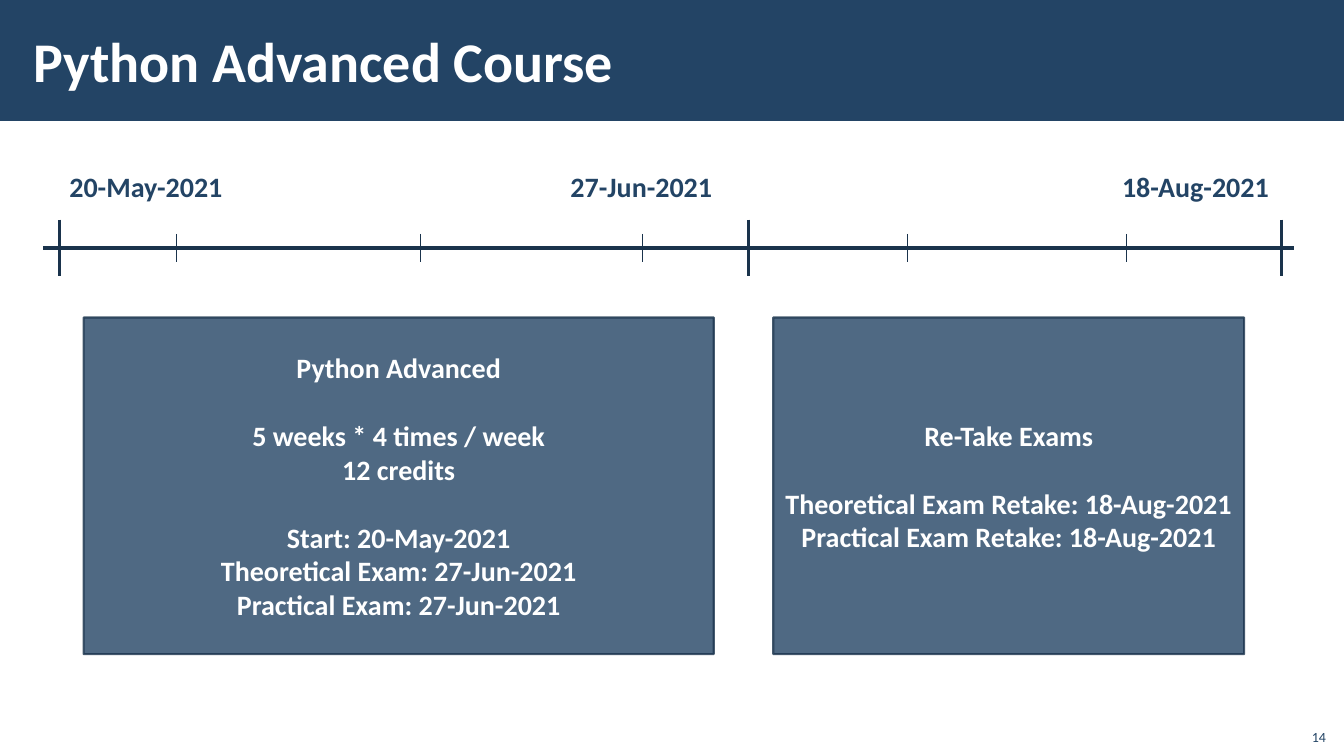
from lxml.etree import SubElement
from pptx import Presentation
from pptx.dml.color import RGBColor
from pptx.enum.shapes import MSO_CONNECTOR, MSO_SHAPE
from pptx.enum.text import MSO_ANCHOR, PP_ALIGN
from pptx.oxml.ns import qn
from pptx.util import Inches, Pt

TITLE = "Python Advanced Course"
PAGE = "14"
DATES = [("20-May-2021", 0.59, 1.74), ("27-Jun-2021", 5.56, 1.62), ("18-Aug-2021", 11.03, 1.68)]
MAJOR_TICKS = [0.59, 7.42, 12.71]
MINOR_TICKS = [1.75, 4.17, 6.37, 9, 11.17]
PHASES = [
    (0.83, 6.25, [
        ["Python Advanced"],
        ["5 weeks * 4 times / week", "12 credits"],
        ["Start: 20-May-2021", "Theoretical Exam: 27-Jun-2021", "Practical Exam: 27-Jun-2021"],
    ]),
    (7.67, 4.67, [
        ["Re-Take Exams"],
        ["Theoretical Exam Retake: 18-Aug-2021", "Practical Exam Retake: 18-Aug-2021"],
    ]),
]
COLORS = {"navy": "234465", "line": "1A334C", "white": "FFFFFF"}
FONT = "Calibri"
WIDTH, HEIGHT = 13.33, 7.5
AXIS_Y, AXIS_LEFT, AXIS_RIGHT = 2.46, 0.43, 12.83
DATE_TOP, DATE_HEIGHT = 1.63, 0.44
PHASE_TOP, PHASE_HEIGHT = 3.15, 3.34
LINE_PITCH = 24.4


def rgb(name):
    return RGBColor.from_string(COLORS[name])


def style(p, size, color, bold=True, align=PP_ALIGN.LEFT):
    p.alignment = align
    for r in p.runs:
        r.font.name, r.font.size, r.font.bold = FONT, Pt(size), bold
        r.font.color.rgb = rgb(color)


def add_text(s, text, box, size, color, bold=True, wrap=True,
             align=PP_ALIGN.LEFT, anchor=MSO_ANCHOR.TOP):
    tf = s.shapes.add_textbox(*map(Inches, box)).text_frame
    tf.word_wrap, tf.vertical_anchor = wrap, anchor
    tf.text = text
    style(tf.paragraphs[0], size, color, bold, align)
    return tf


def add_rect(s, box):
    sp = s.shapes.add_shape(MSO_SHAPE.RECTANGLE, *map(Inches, box))
    sp.shadow.inherit = False
    sp.fill.solid()
    sp.fill.fore_color.rgb = rgb("navy")
    sp.line.fill.background()
    return sp


def add_line(s, x1, y1, x2, y2, weight):
    line = s.shapes.add_connector(MSO_CONNECTOR.STRAIGHT, *map(Inches, (x1, y1, x2, y2)))
    line.line.color.rgb = rgb("line")
    line.line.width = Pt(weight)
    SubElement(line._element.spPr, qn("a:effectLst"))


def add_phase(s, left, width, groups):
    sp = add_rect(s, (left, PHASE_TOP, width, PHASE_HEIGHT))
    sp.line.color.rgb = rgb("line")
    sp.line.width = Pt(1.5)
    for color in sp._element.spPr.iter(qn("a:srgbClr")):
        SubElement(color, qn("a:alpha"), val="80000")
    tf = sp.text_frame
    tf.word_wrap, tf.vertical_anchor = True, MSO_ANCHOR.MIDDLE
    tf.text = "\n".join(line for group in groups for line in group)
    openers = [group[0] for group in groups[1:]]
    for p in tf.paragraphs:
        style(p, 20, "white", align=PP_ALIGN.CENTER)
        if p.text in openers:
            p.space_before = Pt(LINE_PITCH)


def main():
    prs = Presentation()
    prs.slide_width, prs.slide_height = Inches(WIDTH), Inches(HEIGHT)
    s = prs.slides.add_slide(prs.slide_layouts[6])

    add_rect(s, (0, 0, WIDTH, HEIGHT * 0.16))
    add_text(s, PAGE, (12.85, 7.12, 0.4, 0.32), 10, "navy", bold=False,
             align=PP_ALIGN.RIGHT, anchor=MSO_ANCHOR.BOTTOM)
    tf = add_text(s, TITLE, (0.21, 0.11, 10.63, 0.97), 40, "white", anchor=MSO_ANCHOR.MIDDLE)
    tf.margin_left = tf.margin_right = Inches(0.12)
    tf.margin_top = tf.margin_bottom = Inches(0.04)

    add_line(s, AXIS_LEFT, AXIS_Y, AXIS_RIGHT, AXIS_Y, 2.25)
    for ticks, reach, weight in ((MAJOR_TICKS, 0.28, 2.25), (MINOR_TICKS, 0.14, 0.5)):
        for x in ticks:
            add_line(s, x, AXIS_Y - reach, x, AXIS_Y + reach, weight)
    for date, left, width in DATES:
        add_text(s, date, (left, DATE_TOP, width, DATE_HEIGHT), 20, "navy", wrap=False)
    for phase in PHASES:
        add_phase(s, *phase)

    prs.save("out.pptx")


if __name__ == "__main__":
    main()
